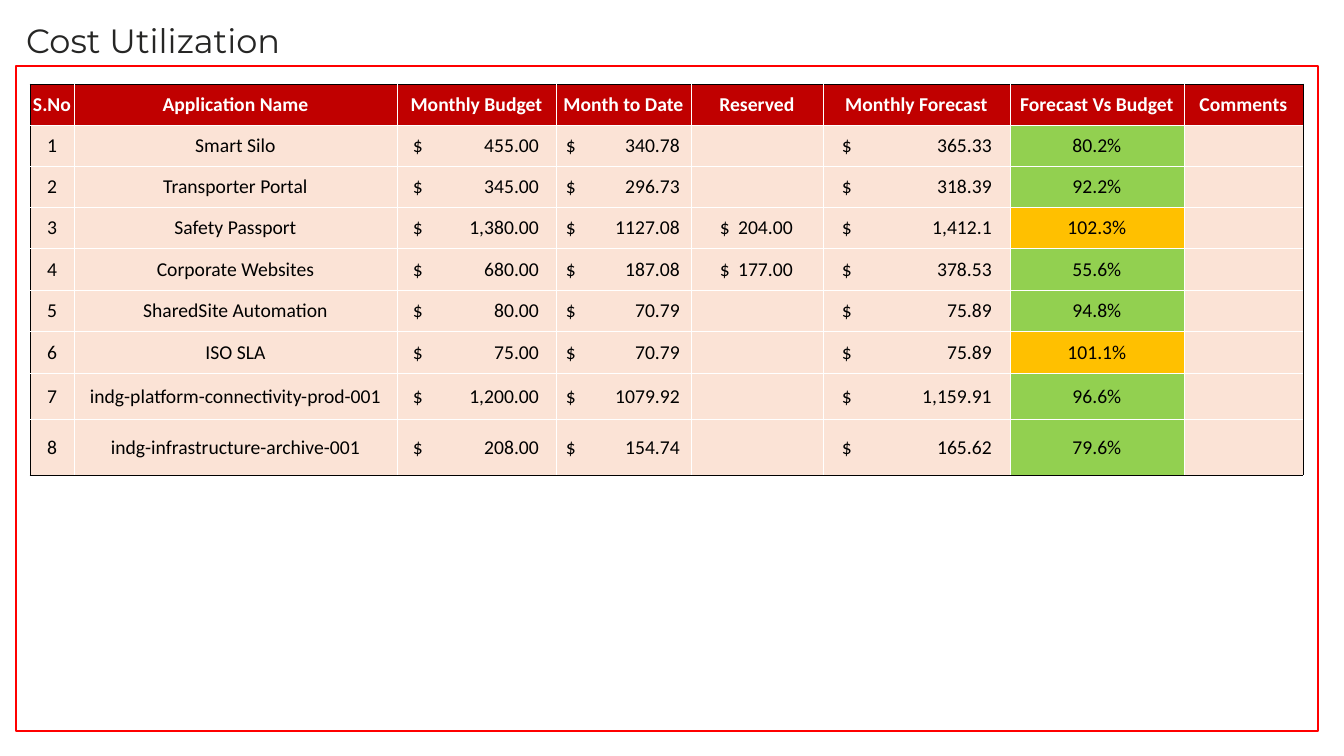
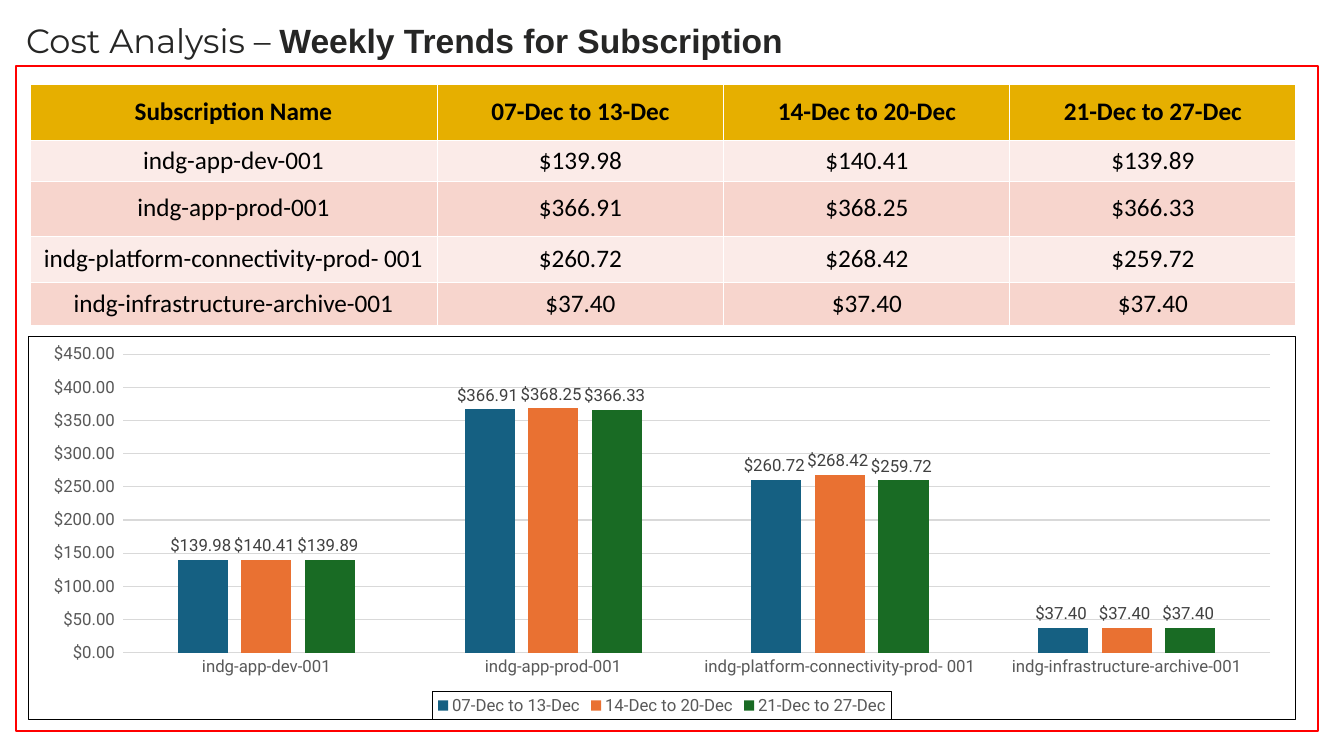
"""Build the cost utilization and weekly cost trend slides."""
from lxml.etree import SubElement
from pptx import Presentation
from pptx.chart.data import CategoryChartData
from pptx.dml.color import RGBColor
from pptx.enum.chart import XL_CHART_TYPE as CT, XL_LABEL_POSITION as LP
from pptx.enum.chart import XL_LEGEND_POSITION as LEG, XL_TICK_MARK as TICK
from pptx.enum.shapes import MSO_SHAPE
from pptx.enum.text import MSO_ANCHOR, MSO_AUTO_SIZE, PP_ALIGN
from pptx.oxml import parse_xml
from pptx.oxml.ns import nsdecls, qn
from pptx.util import Emu, Pt

PX = 914400 / 100.8
COLORS = {name: RGBColor.from_string(value) for name, value in {
    "frame": "FF0000", "title": "262625", "black": "000000", "white": "FFFFFF",
    "red": "C00000", "peach": "FBE3D6", "green": "92D050", "amber": "FFC000",
    "gold": "E6AF00", "pale": "FBEBE8", "pink": "F7D5CD", "grid": "D9D9D9",
    "axis": "595959", "label": "404040", "blue": "156082", "orange": "E97132",
    "forest": "196B24"}.items()}
MONEY = '"$"#,##0.00_);[Red]\\("$"#,##0.00\\)'


def px(*values):
    return [Emu(round(v * PX)) for v in values]


def fill_cell(cell, text, fill, color, size, bold, edges, width):
    tc_pr = cell._tc.get_or_add_tcPr()
    for side, edge in zip("LRTB", edges):
        ln = SubElement(tc_pr, qn(f"a:ln{side}"), w=str(Pt(width)))
        SubElement(SubElement(ln, qn("a:solidFill")), qn("a:srgbClr"),
                   val=str(COLORS[edge]))
    cell.fill.solid()
    cell.fill.fore_color.rgb = COLORS[fill]
    cell.vertical_anchor = MSO_ANCHOR.MIDDLE
    p = cell.text_frame.paragraphs[0]
    p.text = text
    p.alignment = PP_ALIGN.CENTER
    for font in [p.font] + [r.font for r in p.runs]:
        font.name, font.size, font.bold = "Calibri", Pt(size), bold
        font.color.rgb = COLORS[color]
    return p


prs = Presentation()
prs.slide_width, prs.slide_height = px(1344, 756)

TITLES = [
    [("Cost Utilization", "Montserrat", False)],
    [("Cost Analysis – ", "Montserrat", False),
     ("Weekly Trends for Subscription", "Arial", True)],
]
for parts in TITLES:
    s = prs.slides.add_slide(prs.slide_layouts[5])
    frame = s.shapes.add_shape(MSO_SHAPE.RECTANGLE, *px(16, 66, 1302, 665))
    frame.shadow.inherit = False
    frame.fill.background()
    frame.line.color.rgb = COLORS["frame"]
    frame.line.width = Pt(1.5)
    title = s.shapes.title
    title.left, title.top, title.width, title.height = px(16, 15, 831, 50)
    tf = title.text_frame
    tf.auto_size = MSO_AUTO_SIZE.NONE
    tf.vertical_anchor = MSO_ANCHOR.TOP
    p = tf.paragraphs[0]
    p.alignment = PP_ALIGN.LEFT
    for text, name, bold in parts:
        r = p.add_run()
        r.text = text
        r.font.name, r.font.size, r.font.bold = name, Pt(24), bold
        r.font.color.rgb = COLORS["title"]
cost_slide, trend_slide = prs.slides

COSTS = [
    ("S.No", "Application Name", "Monthly Budget", "Month to Date", "Reserved",
     "Monthly Forecast", "Forecast Vs Budget", "Comments"),
    ("1", "Smart Silo", "455.00", "340.78", "", "365.33", "80.2%", ""),
    ("2", "Transporter Portal", "345.00", "296.73", "", "318.39", "92.2%", ""),
    ("3", "Safety Passport", "1,380.00", "1127.08", "204.00", "1,412.1", "102.3%", ""),
    ("4", "Corporate Websites", "680.00", "187.08", "177.00", "378.53", "55.6%", ""),
    ("5", "SharedSite Automation", "80.00", "70.79", "", "75.89", "94.8%", ""),
    ("6", "ISO SLA", "75.00", "70.79", "", "75.89", "101.1%", ""),
    ("7", "indg-platform-connectivity-prod-001", "1,200.00", "1079.92", "",
     "1,159.91", "96.6%", ""),
    ("8", "indg-infrastructure-archive-001", "208.00", "154.74", "", "165.62",
     "79.6%", ""),
]
COST_COLS = [44, 323, 159, 135, 132, 187, 174, 119]
COST_ROWS = [41, 41, 41, 41, 42, 41, 42, 46, 56]
MONEY_SPANS = {2: (16, 142), 3: (10, 124), 4: (29, 102), 5: (19, 169)}
RATIO_COL = 6

tbl = cost_slide.shapes.add_table(
    len(COST_ROWS), len(COST_COLS), *px(30, 84, sum(COST_COLS), sum(COST_ROWS))).table
for col, width in zip(tbl.columns, px(*COST_COLS)):
    col.width = width
for i, (row, height) in enumerate(zip(COSTS, px(*COST_ROWS))):
    tbl.rows[i].height = height
    for j, text in enumerate(row):
        cell = tbl.cell(i, j)
        cell.margin_left, cell.margin_right, cell.margin_top, cell.margin_bottom = px(1, 1, 1, 0)
        outer = (j == 0, j == len(row) - 1, i == 0, i == len(COSTS) - 1)
        edges = ["black" if on_rim else "white" for on_rim in outer]
        fill = "peach" if i else "red"
        if i and j == RATIO_COL:
            fill = "amber" if float(text.rstrip("%")) > 100 else "green"
        is_money = i > 0 and j in MONEY_SPANS and text != ""
        p = fill_cell(cell, f"$\t{text}" if is_money else text, fill,
                      "black" if i else "white", 14, i == 0, edges, 0.5)
        if is_money:
            start, end = MONEY_SPANS[j]
            cell.margin_left, stop = px(start, end - start)
            p.alignment = PP_ALIGN.LEFT
            tabs = SubElement(p._p.get_or_add_pPr(), qn("a:tabLst"))
            p._p.pPr.insert(0, tabs)
            SubElement(tabs, qn("a:tab"), pos=str(stop), algn="r")

WEEKS = {
    "07-Dec to 13-Dec": ("blue", [139.98, 366.91, 260.72, 37.40]),
    "14-Dec to 20-Dec": ("orange", [140.41, 368.25, 268.42, 37.40]),
    "21-Dec to 27-Dec": ("forest", [139.89, 366.33, 259.72, 37.40]),
}
SUBSCRIPTIONS = ["indg-app-dev-001", "indg-app-prod-001",
                 "indg-platform-connectivity-prod- 001",
                 "indg-infrastructure-archive-001"]
TREND_COLS = [407, 287, 286, 286]
TREND_ROWS = [56, 41, 55, 46, 44]
trends = [["Subscription Name", *WEEKS]]
for i, name in enumerate(SUBSCRIPTIONS):
    trends.append([name] + [f"${values[i]:.2f}" for _, values in WEEKS.values()])

tbl = trend_slide.shapes.add_table(
    len(TREND_ROWS), len(TREND_COLS), *px(30, 84, sum(TREND_COLS), sum(TREND_ROWS))).table
for col, width in zip(tbl.columns, px(*TREND_COLS)):
    col.width = width
for i, (row, height) in enumerate(zip(trends, px(*TREND_ROWS))):
    tbl.rows[i].height = height
    fill = "gold" if i == 0 else "pale" if i % 2 else "pink"
    for j, text in enumerate(row):
        p = fill_cell(tbl.cell(i, j), text, fill, "black", 18, i == 0,
                      ["white"] * 4, 0.75)
        p.line_spacing = Pt(21.8)

data = CategoryChartData(number_format=MONEY)
data.categories = SUBSCRIPTIONS
for week, (_, values) in WEEKS.items():
    data.add_series(week, values)
chart = trend_slide.shapes.add_chart(
    CT.COLUMN_CLUSTERED, *px(28, 336, 1268, 384), data).chart
chart.has_title = False
chart.font.name, chart.font.size = "Roboto", Pt(10)
chart.has_legend = True
chart.legend.position = LEG.BOTTOM
chart.legend.include_in_layout = False

plot = chart.plots[0]
plot.gap_width, plot.overlap, plot.vary_by_categories = 219, -27, False
fonts = [(chart.legend.font, "axis")]
for series, (color, _) in zip(plot.series, WEEKS.values()):
    series.format.fill.solid()
    series.format.fill.fore_color.rgb = COLORS[color]
    labels = series.data_labels
    labels.show_value = True
    labels.position = LP.OUTSIDE_END
    labels.number_format, labels.number_format_is_linked = MONEY, False
    fonts.append((labels.font, "label"))

cat_axis, val_axis = chart.category_axis, chart.value_axis
for axis in (cat_axis, val_axis):
    axis.major_tick_mark = axis.minor_tick_mark = TICK.NONE
    fonts.append((axis.tick_labels.font, "axis"))
val_axis.minimum_scale, val_axis.maximum_scale, val_axis.major_unit = 0, 450, 50
val_axis.tick_labels.number_format = MONEY
val_axis.tick_labels.number_format_is_linked = False
val_axis.format.line.fill.background()
for line in (cat_axis.format.line, val_axis.major_gridlines.format.line):
    line.color.rgb = COLORS["grid"]
    line.width = Pt(0.75)
for font, color in fonts:
    font.name, font.size, font.bold = "Roboto", Pt(12), False
    font.color.rgb = COLORS[color]

for box in (chart._chartSpace, chart.legend._element):
    box.find(qn("c:txPr")).addprevious(parse_xml(
        f'<c:spPr {nsdecls("c", "a")}><a:noFill/><a:ln w="{Pt(0.75)}"><a:solidFill>'
        f'<a:srgbClr val="{COLORS["black"]}"/></a:solidFill></a:ln></c:spPr>'))

prs.save("out.pptx")
